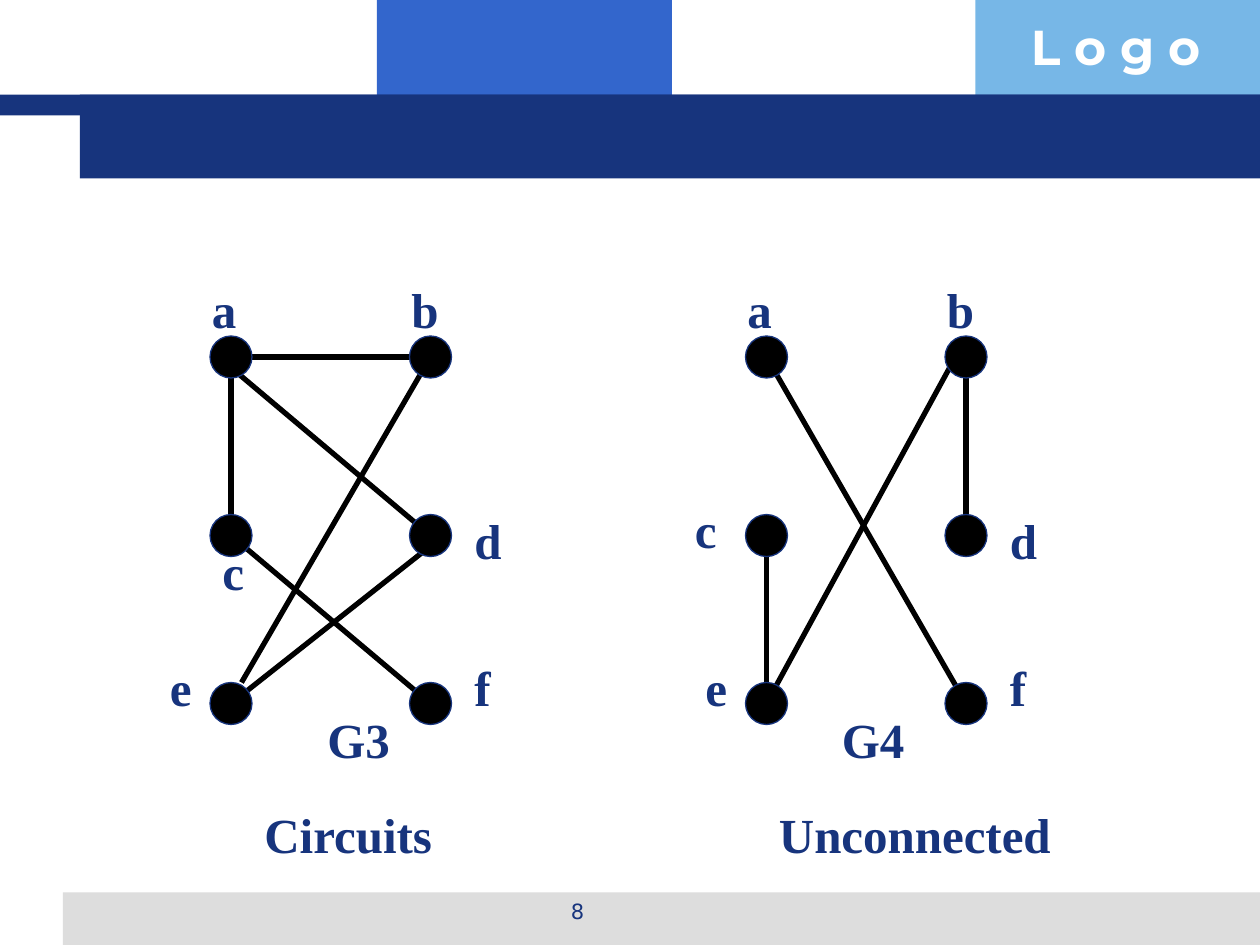
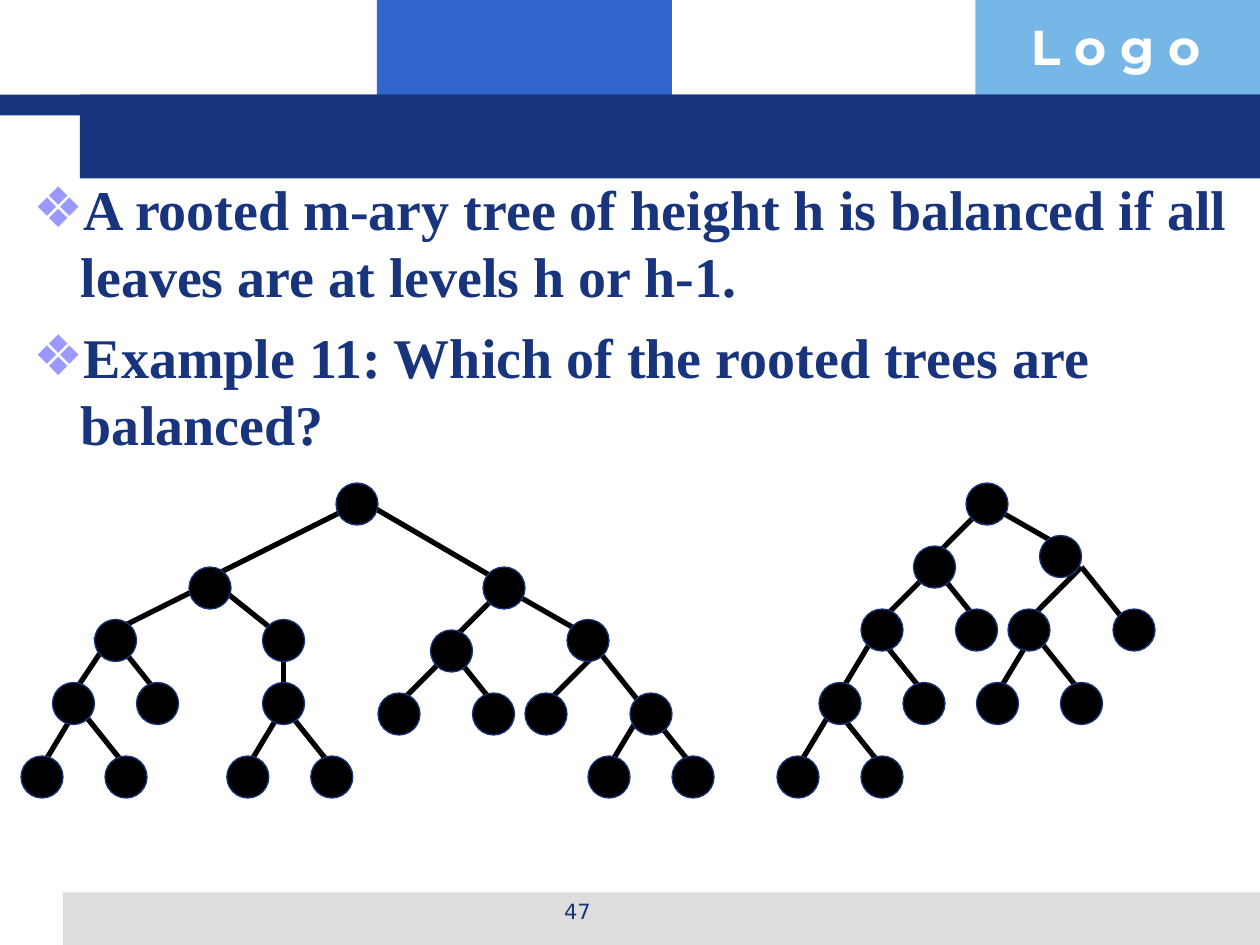
from dataclasses import dataclass

from lxml.etree import SubElement
from pptx import Presentation
from pptx.dml.color import RGBColor
from pptx.enum.shapes import MSO_CONNECTOR, MSO_SHAPE
from pptx.enum.text import MSO_ANCHOR, MSO_AUTO_SIZE, PP_ALIGN
from pptx.oxml.ns import qn
from pptx.util import Emu, Pt

PX = 7620  # EMU per px, 120 px to the inch
WIDTH, HEIGHT = 1200, 900
NODE = 40


@dataclass(frozen=True)
class Theme:
    navy: str = "17347D"
    blue: str = "3366CC"
    sky: str = "77B7E7"
    grey: str = "DDDDDD"
    lilac: str = "9999FF"
    black: str = "000000"
    white: str = "FFFFFF"
    serif: str = "Times New Roman"
    sans: str = "DejaVu Sans"
    display: str = "Montserrat"
    body_size: int = 32
    label_size: int = 28
    number_size: int = 12
    edge_width: int = 3
    outline_width: float = 0.75


THEME = Theme()


def px(*lengths):
    return [Emu(length * PX) for length in lengths]


def write(paragraph, text, *, size=THEME.label_size, font=THEME.serif,
          color=THEME.navy, bold=True, align=None):
    """Put formatted text into a paragraph."""
    run = paragraph.add_run()
    run.text = text
    run.font.size = Pt(size)
    run.font.name = font
    run.font.bold = bold
    run.font.color.rgb = RGBColor.from_string(color)
    paragraph.alignment = align


class Deck:
    def __init__(self, theme):
        self.theme = theme
        self.prs = Presentation()
        self.prs.slide_width, self.prs.slide_height = px(WIDTH, HEIGHT)
        self.slide = None

    def new_slide(self, layout, number):
        self.slide = self.prs.slides.add_slide(self.prs.slide_layouts[layout])
        if self.slide.shapes.title is not None:
            title = self.slide.shapes.title.element
            title.getparent().remove(title)
        if len(self.prs.slides) == 1:
            self.build_master()
        self.text(410, 850, 280, 42, str(number), size=self.theme.number_size,
                  font=self.theme.sans, bold=False, align=PP_ALIGN.CENTER)

    def build_master(self):
        """Draw the bands and header word, then hand them to the master."""
        t = self.theme
        parts = [
            self.shape(MSO_SHAPE.RECTANGLE, 359, 0, 281, 110, t.blue),
            self.shape(MSO_SHAPE.RECTANGLE, 929, 0, 271, 110, t.sky),
            self.shape(MSO_SHAPE.RECTANGLE, 60, 850, 1140, 50, t.grey),
            self.shape(MSO_SHAPE.RECTANGLE, 0, 90, WIDTH, 20, t.navy),
            self.shape(MSO_SHAPE.RECTANGLE, 76, 90, 1124, 80, t.navy),
            self.text(970, 10, 230, 68, "L o g o", font=t.display, color=t.white),
        ]
        for shape_id, part in enumerate(parts, start=101):
            part.element.xpath(".//p:cNvPr")[0].set("id", str(shape_id))
            self.prs.slide_master.shapes.element.append(part.element)

    def shape(self, kind, x, y, w, h, fill, outline=None):
        shape = self.slide.shapes.add_shape(kind, *px(x, y, w, h))
        shape.shadow.inherit = False
        shape.fill.solid()
        shape.fill.fore_color.rgb = RGBColor.from_string(fill)
        if outline:
            shape.line.color.rgb = RGBColor.from_string(outline)
            shape.line.width = Pt(self.theme.outline_width)
        else:
            shape.line.fill.background()
        return shape

    def text(self, x, y, w, h, text, **style):
        box = self.slide.shapes.add_textbox(*px(x, y, w, h))
        box.text_frame.word_wrap = True
        write(box.text_frame.paragraphs[0], text, **style)
        return box

    def node(self, center):
        x, y = center
        self.shape(MSO_SHAPE.OVAL, x - NODE // 2, y - NODE // 2, NODE, NODE,
                   self.theme.black, self.theme.navy)

    def edge(self, start, end, leave=(0, 0), arrive=(0, 0)):
        """Join two node centres, each end shifted by its own offset."""
        line = self.slide.shapes.add_connector(
            MSO_CONNECTOR.STRAIGHT,
            *px(start[0] + leave[0], start[1] + leave[1],
                end[0] + arrive[0], end[1] + arrive[1]))
        line.line.color.rgb = RGBColor.from_string(self.theme.black)
        line.line.width = Pt(self.theme.edge_width)
        SubElement(line.element.spPr, qn("a:effectLst"))

    def bullets(self, x, y, w, h, items):
        body = self.slide.placeholders[1]
        body.left, body.top, body.width, body.height = px(x, y, w, h)
        frame = body.text_frame
        frame.auto_size = MSO_AUTO_SIZE.NONE
        frame.vertical_anchor = MSO_ANCHOR.TOP
        for i, item in enumerate(items):
            paragraph = frame.add_paragraph() if i else frame.paragraphs[0]
            paragraph.space_before = Pt(8 if i else 0)
            props = paragraph.element.get_or_add_pPr() if hasattr(
                paragraph, "element") else paragraph._p.get_or_add_pPr()
            props.set("marL", str(45 * PX))
            props.set("indent", str(-45 * PX))
            SubElement(SubElement(props, qn("a:buClr")), qn("a:srgbClr"),
                       val=self.theme.lilac)
            SubElement(props, qn("a:buChar"), char="❖")
            write(paragraph, item, size=self.theme.body_size)

    def graph(self, dx, name, caption, caption_width, edges, labels):
        """Six named nodes on a 2 by 3 grid, shifted right by dx."""
        centers = {letter: (x + dx, y) for letter, (x, y) in GRID.items()}
        for start, end, *offsets in edges:
            self.edge(centers[start], centers[end], *offsets)
        for center in centers.values():
            self.node(center)
        for letter, (x, y) in labels.items():
            self.text(x + dx, y, 50, 68, letter)
        # Graph name and caption
        self.text(name[1], 670, 90, 68, name[0])
        self.text(caption[1], 760, caption_width, 68, caption[0])

    def tree(self, rows):
        """Rows hold x, y, then parent index and the offsets of its edge."""
        for x, y, *branch in rows:
            if branch:
                parent, leave, *arrive = branch
                self.edge(rows[parent][:2], (x, y), leave,
                          arrive[0] if arrive else (0, -10))
        for x, y, *_ in rows:
            self.node((x, y))


# Graph data
GRID = {letter: (x, y) for letter, (y, x) in zip(
    "abcdef", [(y, x) for y in (340, 510, 670) for x in (220, 410)])}
LABELS = {"a": (190, 260), "b": (380, 260), "c": (200, 510),
          "d": (440, 480), "e": (150, 620), "f": (440, 620)}
G3_EDGES = [
    ("a", "c", (0, 10), (0, -20)),
    ("b", "a", (-10, 0)),
    ("b", "e", (0, 0), (10, -20)),
    ("d", "a", (0, 0), (0, 10)),
    ("d", "e", (0, 10)),
    ("f", "c"),
]
G4_EDGES = [
    ("c", "e", (0, 10), (0, -10)),
    ("b", "e", (-10, 0)),
    ("f", "a"),
    ("b", "d", (0, 10), (0, -20)),
]

# Tree data
WIDE_TREE = [
    (340, 480),
    (200, 560, 0, (0, 0)),
    (480, 560, 0, (10, 0), (-10, -10)),
    (110, 610, 1, (-10, 0), (-20, 0)),
    (270, 610, 1, (10, 0), (-10, -10)),
    (430, 620, 2, (0, 0)),
    (560, 610, 2, (0, 0), (-10, -10)),
    (70, 670, 3, (0, -10)),
    (150, 670, 3, (0, 0)),
    (270, 670, 4, (0, 0), (0, 10)),
    (380, 680, 5, (0, 0)),
    (470, 680, 5, (0, 0)),
    (520, 680, 6, (10, 10)),
    (620, 680, 6, (10, 10), (-10, -10)),
    (40, 740, 7, (0, 10)),
    (120, 740, 7, (10, 10)),
    (236, 740, 9, (-4, 10)),
    (316, 740, 9, (6, 10)),
    (580, 740, 13, (-10, 0)),
    (660, 740, 13, (0, 0)),
]
NARROW_TREE = [
    (940, 480),
    (890, 540, 0, (0, 0)),
    (1010, 530, 0, (0, 0)),
    (840, 600, 1, (0, 0)),
    (930, 600, 1, (0, 0)),
    (980, 600, 2, (20, 10)),
    (1080, 600, 2, (20, 10), (-10, -10)),
    (800, 670, 3, (-10, 10)),
    (880, 670, 3, (0, 10)),
    (950, 670, 5, (0, 10)),
    (1030, 670, 5, (10, 10)),
    (760, 740, 7, (-10, 10)),
    (840, 740, 7, (0, 10)),
]


def main():
    deck = Deck(THEME)

    # Circuits and unconnected graphs
    deck.new_slide(layout=6, number=8)
    deck.graph(0, ("G3", 300), ("Circuits", 240), 220, G3_EDGES, LABELS)
    deck.graph(510, ("G4", 790), ("Unconnected", 730), 330, G4_EDGES,
               {**LABELS, "c": (140, 470)})

    # Balanced rooted trees
    deck.new_slide(layout=1, number=47)
    deck.bullets(20, 160, 1180, 714, [
        "A rooted m-ary tree of height h is balanced if all leaves are at levels h or h-1.",
        "Example 11: Which of the rooted trees are balanced?",
    ])
    deck.tree(WIDE_TREE)
    deck.tree(NARROW_TREE)

    deck.prs.save("out.pptx")


if __name__ == "__main__":
    main()
